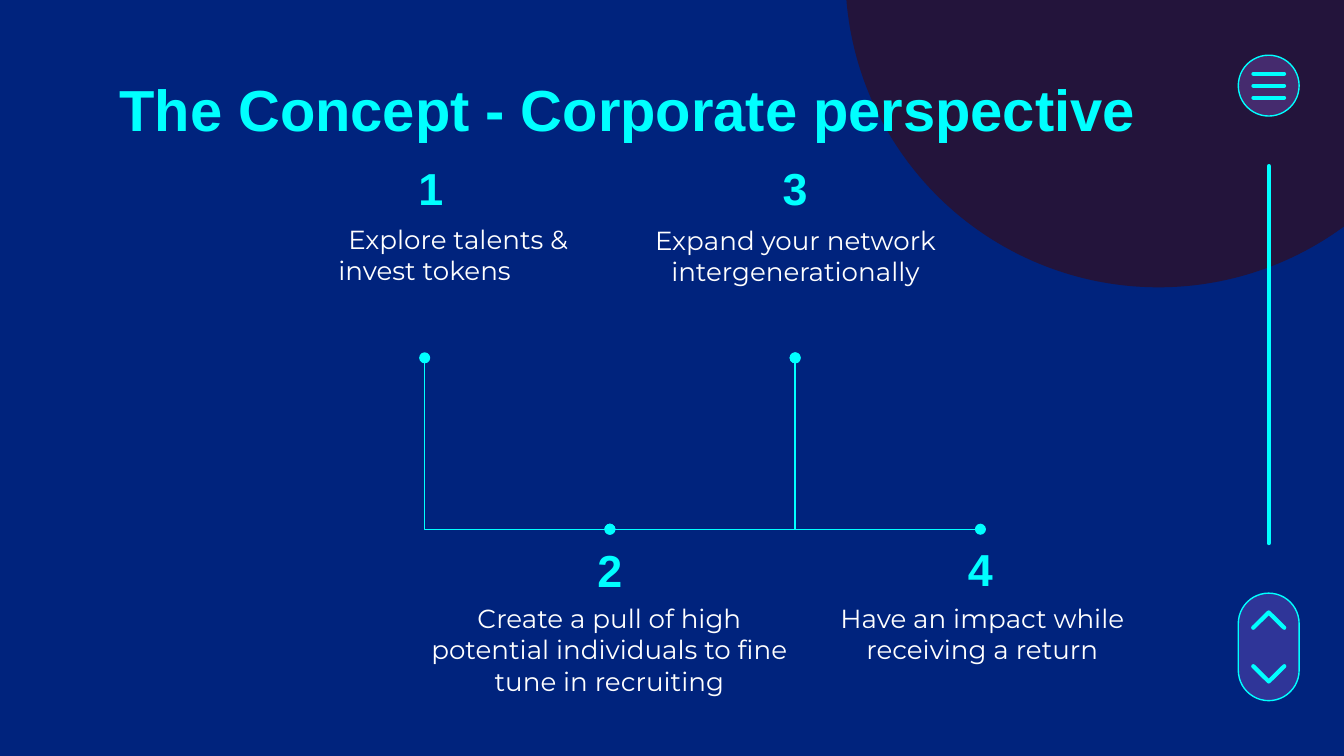
import lxml.etree
import pptx
import pptx.dml.color
import pptx.enum.shapes
import pptx.enum.text
import pptx.oxml.ns
import pptx.util

Pt = pptx.util.Pt
RGBColor = pptx.dml.color.RGBColor
qn = pptx.oxml.ns.qn
SHAPE = pptx.enum.shapes.MSO_SHAPE
CONNECTOR = pptx.enum.shapes.MSO_CONNECTOR
ANCHOR = pptx.enum.text.MSO_ANCHOR
ALIGN = pptx.enum.text.PP_ALIGN

NAVY = RGBColor(0x00, 0x23, 0x7D)
PLUM = RGBColor(0x23, 0x14, 0x3B)
VIOLET = RGBColor(0x84, 0x56, 0xC9)
CYAN = RGBColor(0x00, 0xFF, 0xFF)
WHITE = RGBColor(0xFF, 0xFF, 0xFF)

FIRST_STEP = 227.5
STEP_GAP = 99.25
UPPER_LEVEL = 191.7
LOWER_LEVEL = 283.5
NUMBER_WIDTH = 172.8
MENU_CENTER = 679.7

STEPS = [
    (" 1", 85, "\tExplore talents & invest tokens", 227.5, 112.3, 172.8),
    ("2", 289.7, "Create a pull of high potential individuals to fine tune in recruiting",
     326.5, 315.4, 215.3),
    ("3", 85, "Expand your network intergenerationally", 426.2, 113, 224.6),
    ("4", 289, "Have an impact while receiving a return", 526.3, 315.4, 198.7),
]


def outline(shape, width, round_cap=False):
    shape.line.color.rgb = CYAN
    shape.line.width = Pt(width)
    line = shape.element.spPr.find(qn("a:ln"))
    if round_cap:
        line.set("cap", "rnd")
    return line


def add_filled(page, kind, left, top, width, height, color):
    shape = page.shapes.add_shape(kind, Pt(left), Pt(top), Pt(width), Pt(height))
    shape.shadow.inherit = False
    shape.fill.solid()
    shape.fill.fore_color.rgb = color
    return shape


def add_button(page, top, height):
    width = 32.6
    button = add_filled(page, SHAPE.ROUNDED_RECTANGLE, MENU_CENTER - width / 2,
                        top, width, height, VIOLET)
    button.adjustments[0] = 0.5
    outline(button, 0.75)
    color = button.element.spPr.find(qn("a:solidFill"))[0]
    lxml.etree.SubElement(color, qn("a:alpha")).set("val", "36000")


def add_chevron(page, middle, rotation):
    width, height = 8.2, 16.6
    chevron = page.shapes.add_shape(SHAPE.CHEVRON, Pt(MENU_CENTER - width / 2),
                                    Pt(middle - height / 2), Pt(width), Pt(height))
    chevron.shadow.inherit = False
    chevron.fill.background()
    chevron.adjustments[0] = 1
    chevron.rotation = rotation
    outline(chevron, 2.25, True)


def add_line(page, kind, start, end, width, round_cap=False):
    line = page.shapes.add_connector(kind, *map(Pt, start + end))
    outline(line, width, round_cap)
    lxml.etree.SubElement(line.element.spPr, qn("a:effectLst"))
    return line


def add_branch(page, start, end):
    branch = add_line(page, CONNECTOR.ELBOW, start, end, 0.75)
    properties = branch.element.spPr
    guide = lxml.etree.SubElement(properties.find(qn("a:prstGeom")).find(qn("a:avLst")), qn("a:gd"))
    guide.set("name", "adj1")
    guide.set("fmla", "val 0")
    for tag in ("a:headEnd", "a:tailEnd"):
        lxml.etree.SubElement(properties.find(qn("a:ln")), qn(tag)).set("type", "oval")


def write(box, text, name, size, color, bold, align, anchor):
    frame = box.text_frame
    frame.word_wrap = True
    frame.auto_size = pptx.enum.text.MSO_AUTO_SIZE.NONE
    frame.vertical_anchor = anchor
    frame.margin_left = frame.margin_right = Pt(7.2)
    frame.margin_top = frame.margin_bottom = Pt(7.2)
    frame.text = text
    para = frame.paragraphs[0]
    para.alignment = align
    para.font.name = name
    para.font.size = Pt(size)
    para.font.bold = bold
    para.font.color.rgb = color


def add_title(page, text):
    title = page.shapes.title
    title.left, title.top, title.width, title.height = map(Pt, (56.9, 35.3, 659.5, 45.4))
    write(title, text, "Arial", 31, CYAN, True, ALIGN.LEFT, ANCHOR.MIDDLE)
    title.element.getparent().append(title.element)


def add_step(page, center, number, number_top, text, text_center, text_top, text_width):
    label = page.shapes.add_textbox(Pt(center - NUMBER_WIDTH / 2), Pt(number_top),
                                    Pt(NUMBER_WIDTH), Pt(31))
    write(label, number, "Arial", 24, CYAN, True, ALIGN.CENTER, ANCHOR.MIDDLE)
    body = page.shapes.add_textbox(Pt(text_center - text_width / 2), Pt(text_top),
                                   Pt(text_width), Pt(46 if text_top < 200 else 79))
    write(body, text, "Montserrat", 14, WHITE, False, ALIGN.CENTER, ANCHOR.TOP)


def add_navigation(page):
    add_line(page, CONNECTOR.STRAIGHT, (MENU_CENTER, 89), (MENU_CENTER, 291), 2.25, True)
    add_button(page, 29.6, 32.6)
    for row in range(3):
        height = 39.5 + 6.4 * row
        add_line(page, CONNECTOR.STRAIGHT, (MENU_CENTER - 8.2, height),
                 (MENU_CENTER + 8.2, height), 2.25, True)
    add_button(page, 317.8, 57.6)
    add_chevron(page, 361, 90)
    add_chevron(page, 332.2, 270)


def main():
    deck = pptx.Presentation()
    deck.slide_width, deck.slide_height = Pt(720), Pt(405)
    page = deck.slides.add_slide(deck.slide_layouts.get_by_name("Title Only"))
    page.background.fill.solid()
    page.background.fill.fore_color.rgb = NAVY

    circle = add_filled(page, SHAPE.OVAL, 452.9, -181.6, 335.5, 335.5, PLUM)
    circle.line.fill.background()
    add_navigation(page)
    add_title(page, "The Concept - Corporate perspective")

    centers = [FIRST_STEP + STEP_GAP * index for index in range(len(STEPS))]
    for center, step in zip(centers, STEPS):
        add_step(page, center, *step)
    for upper, lower in ((0, 1), (2, 1), (2, 3)):
        add_branch(page, (centers[upper], UPPER_LEVEL), (centers[lower], LOWER_LEVEL))

    deck.save("out.pptx")


if __name__ == "__main__":
    main()
